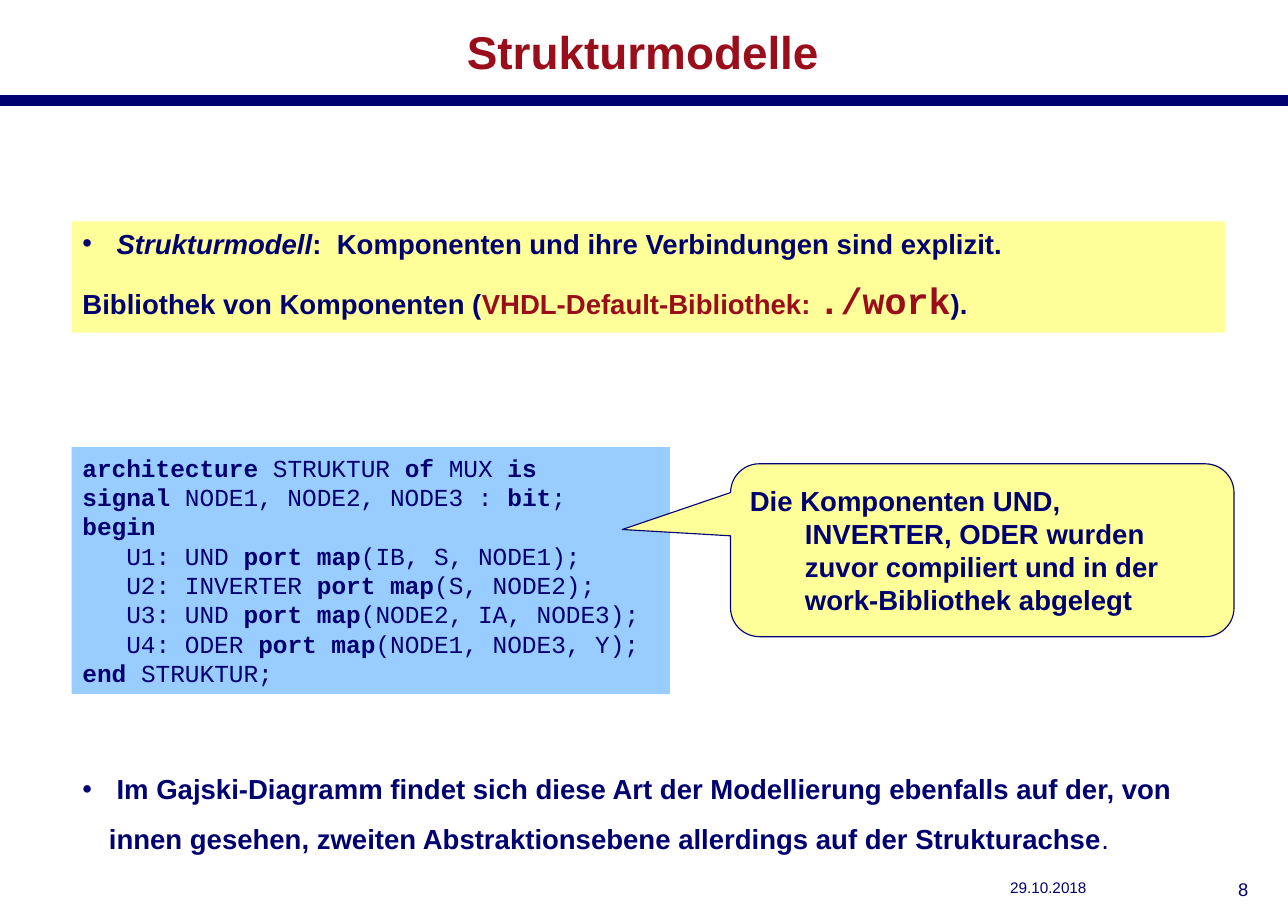
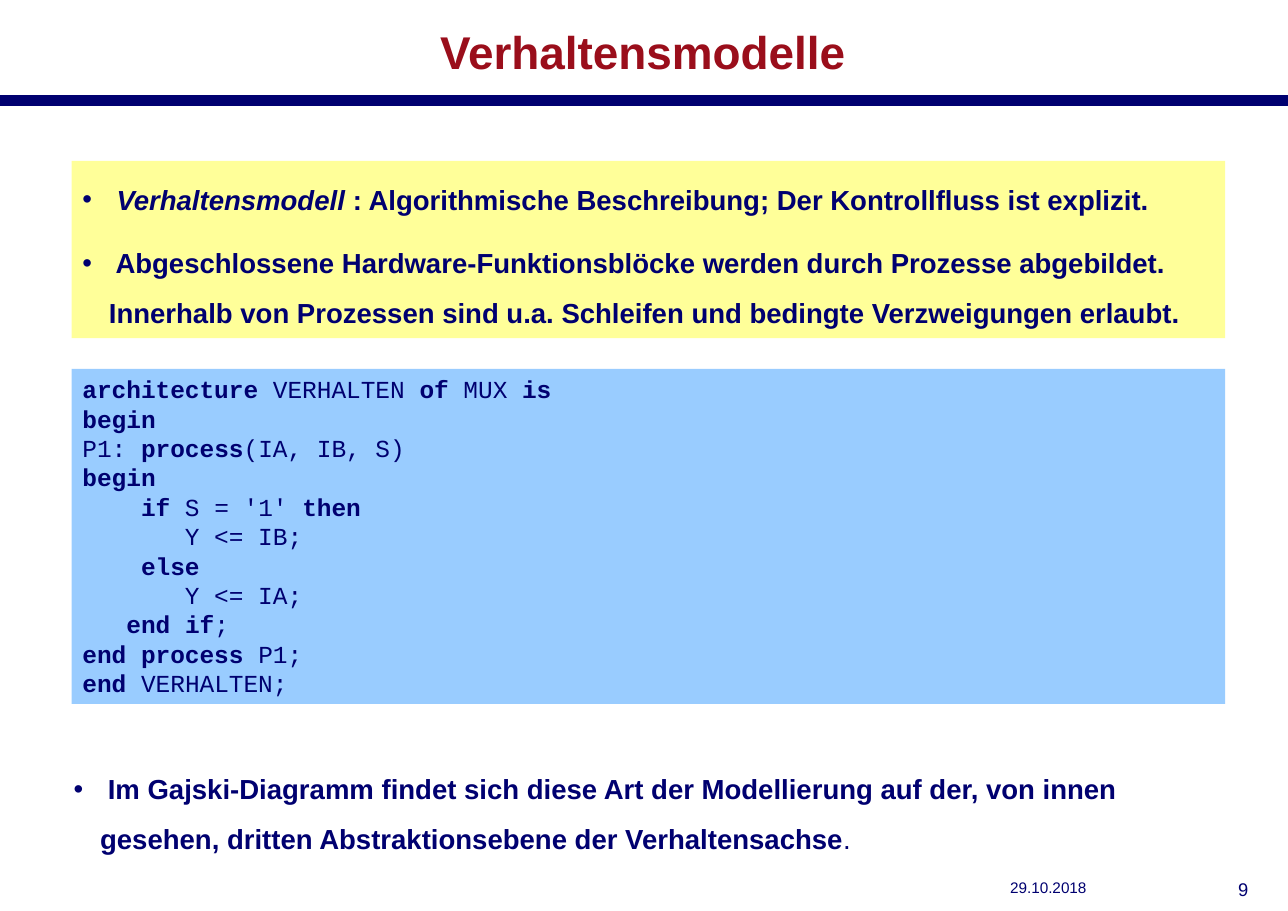
from lxml.etree import SubElement
from pptx import Presentation
from pptx.dml.color import RGBColor
from pptx.enum.shapes import MSO_CONNECTOR, MSO_SHAPE
from pptx.enum.text import MSO_ANCHOR as ANCHOR, MSO_AUTO_SIZE as FIT, PP_ALIGN as ALIGN
from pptx.oxml.ns import qn
from pptx.util import Inches, Pt

COLORS = {"navy": "000070", "red": "9A0E1B", "yellow": "FFFF99", "blue": "99CCFF"}
BODY = {"name": "Arial", "size": Pt(18), "bold": True, "color": "navy"}
CODE = {"name": "Courier New", "size": Pt(16), "bold": False, "color": "navy"}
TITLE = {**BODY, "size": Pt(30), "color": "red"}
DATE = {**BODY, "size": Pt(10), "bold": False}
NUMBER = {**DATE, "size": Pt(12)}

# Paragraph formats: hanging indent in inches, space before in percent
PLAIN = {"before": 50}
BULLET = {"before": 50, "hang": 0.24, "bullet": "•"}
WIDE = {**BULLET, "spacing": 1.5}
CALLOUT = {"before": 50, "hang": 0.5}

prs = Presentation()
prs.slide_width, prs.slide_height = Inches(11.69), Inches(8.27)
COL, ROW = prs.slide_width / 100, prs.slide_height / 100
LEFT, WIDTH = 5.56, 89.56


def place(x, y, w, h):
    """Turn percentages of the slide into lengths."""
    return int(x * COL), int(y * ROW), int(w * COL), int(h * ROW)


def write(tf, paragraphs, base, align=ALIGN.LEFT, anchor=ANCHOR.TOP, fit=FIT.NONE):
    """Fill a frame with (format, [(text, changes), ...]) paragraphs."""
    tf.word_wrap, tf.auto_size, tf.vertical_anchor = True, fit, anchor
    for i, (fmt, runs) in enumerate(paragraphs):
        p = tf.add_paragraph() if i else tf.paragraphs[0]
        p.alignment = align
        if "spacing" in fmt:
            p.line_spacing = fmt["spacing"]
        pPr = p._p.get_or_add_pPr()
        if "before" in fmt:
            before = SubElement(pPr, qn("a:spcBef"))
            SubElement(before, qn("a:spcPct"), val=str(fmt["before"] * 1000))
        if "hang" in fmt:
            pPr.set("marL", str(Inches(fmt["hang"])))
            pPr.set("indent", str(-Inches(fmt["hang"])))
        if "bullet" in fmt:
            SubElement(pPr, qn("a:buFont"), typeface="Arial")
            SubElement(pPr, qn("a:buChar"), char=fmt["bullet"])
        for text, changes in runs:
            r = p.add_run()
            r.text = text
            for key, value in {**base, **changes}.items():
                if key == "color":
                    r.font.color.rgb = RGBColor.from_string(COLORS[value])
                else:
                    setattr(r.font, key, value)


# Content; asterisks enclose the bold keywords in the code
slides = [
    {
        "title": "Strukturmodelle",
        "intro_at": (LEFT, 24.3, WIDTH, 12.21),
        "intro": [
            (BULLET, [(" ", {}), ("Strukturmodell", {"italic": True}),
                      (":  Komponenten und ihre Verbindungen sind explizit.", {})]),
            (PLAIN, [("Bibliothek von Komponenten (", {}),
                     ("VHDL-Default-Bibliothek: ", {"color": "red"}),
                     ("./work", {"color": "red", "name": "Courier New", "size": Pt(24)}),
                     (").", {})]),
        ],
        "code_at": (LEFT, 49.09, 46.45, 27.09),
        "code": """*architecture* STRUKTUR *of* MUX *is*
*signal* NODE1, NODE2, NODE3 : *bit*;
*begin*
   U1: UND *port map*(IB, S, NODE1);
   U2: INVERTER *port map*(S, NODE2);
   U3: UND *port map*(NODE2, IA, NODE3);
   U4: ODER *port map*(NODE1, NODE3, Y);
*end* STRUKTUR;""",
        "callout": "Die Komponenten UND, INVERTER, ODER wurden zuvor compiliert "
                   "und in der work-Bibliothek abgelegt",
        "remark_left": LEFT,
        "remark": " Im Gajski-Diagramm findet sich diese Art der Modellierung ebenfalls auf der, "
                  "von innen gesehen, zweiten Abstraktionsebene allerdings auf der Strukturachse",
    },
    {
        "title": "Verhaltensmodelle",
        "intro_at": (LEFT, 17.65, WIDTH, 19.47),
        "intro": [
            (WIDE, [(" ", {}), ("Verhaltensmodell ", {"italic": True}),
                    (": Algorithmische Beschreibung; Der Kontrollfluss ist explizit.", {})]),
            (WIDE, [(" Abgeschlossene Hardware-Funktionsblöcke werden durch Prozesse abgebildet. "
                     "Innerhalb von Prozessen sind u.a. Schleifen und bedingte Verzweigungen "
                     "erlaubt.", {})]),
        ],
        "code_at": (LEFT, 40.51, WIDTH, 36.76),
        "code": """*architecture* VERHALTEN *of* MUX *is*
*begin*
P1: *process*(IA, IB, S)
*begin*
    *if* S = '1' *then*
       Y <= IB;
    *else*
       Y <= IA;
   *end if*;
*end process* P1;
*end* VERHALTEN;""",
        "remark_left": 4.88,
        "remark": " Im Gajski-Diagramm findet sich diese Art der Modellierung auf der, "
                  "von innen gesehen, dritten Abstraktionsebene der Verhaltensachse",
    },
]

for number, content in enumerate(slides, start=8):
    s = prs.slides.add_slide(prs.slide_layouts[5])

    # Band under the title
    band = s.shapes.add_connector(MSO_CONNECTOR.STRAIGHT, 0, int(11 * ROW),
                                  prs.slide_width, int(11 * ROW))
    band.line.width = Pt(7.09)
    band.line.color.rgb = RGBColor.from_string(COLORS["navy"])
    SubElement(band._element.spPr, qn("a:effectLst"))

    # Title
    title = s.shapes.title
    title.left, title.top, title.width, title.height = place(2.14, 1.45, 95.55, 8.22)
    write(title.text_frame, [({}, [(content["title"], {})])], TITLE, ALIGN.CENTER, ANCHOR.MIDDLE)

    # Date and slide number
    for x, w, text, font, align in ((77.59, 14.11, "29.10.2018", DATE, ALIGN.LEFT),
                                    (93.07, 4.7, str(number), NUMBER, ALIGN.RIGHT)):
        footer = s.shapes.add_textbox(*place(x, 95.77, w, 4.23))
        write(footer.text_frame, [({}, [(text, {})])], font, align)

    # Definition and code boxes
    code = [({}, [(part, {"bold": i % 2 == 1}) for i, part in enumerate(line.split("*")) if part])
            for line in content["code"].split("\n")]
    for at, fill, paragraphs, font in ((content["intro_at"], "yellow", content["intro"], BODY),
                                       (content["code_at"], "blue", code, CODE)):
        sp = s.shapes.add_shape(MSO_SHAPE.RECTANGLE, *place(*at))
        sp.shadow.inherit = False
        sp.fill.solid()
        sp.fill.fore_color.rgb = RGBColor.from_string(COLORS[fill])
        sp.line.fill.background()
        write(sp.text_frame, paragraphs, font, fit=FIT.SHAPE_TO_FIT_TEXT)

    # Callout pointing at the code
    if "callout" in content:
        callout = s.shapes.add_shape(MSO_SHAPE.ROUNDED_RECTANGULAR_CALLOUT,
                                     *place(56.72, 50.91, 39.09, 18.98))
        for i, value in enumerate((-0.715, -0.12, 0.167)):
            callout.adjustments[i] = value
        callout.shadow.inherit = False
        callout.fill.solid()
        callout.fill.fore_color.rgb = RGBColor.from_string(COLORS["yellow"])
        callout.line.color.rgb = RGBColor.from_string(COLORS["navy"])
        callout.line.width = Pt(0.75)
        write(callout.text_frame, [(CALLOUT, [(content["callout"], {})])], BODY,
              anchor=ANCHOR.MIDDLE)

    # Closing remark
    remark = s.shapes.add_textbox(*place(content["remark_left"], 82.35, WIDTH, 12.21))
    write(remark.text_frame, [(WIDE, [(content["remark"], {}), (".", {"bold": False})])], BODY,
          fit=FIT.SHAPE_TO_FIT_TEXT)

prs.save("out.pptx")
